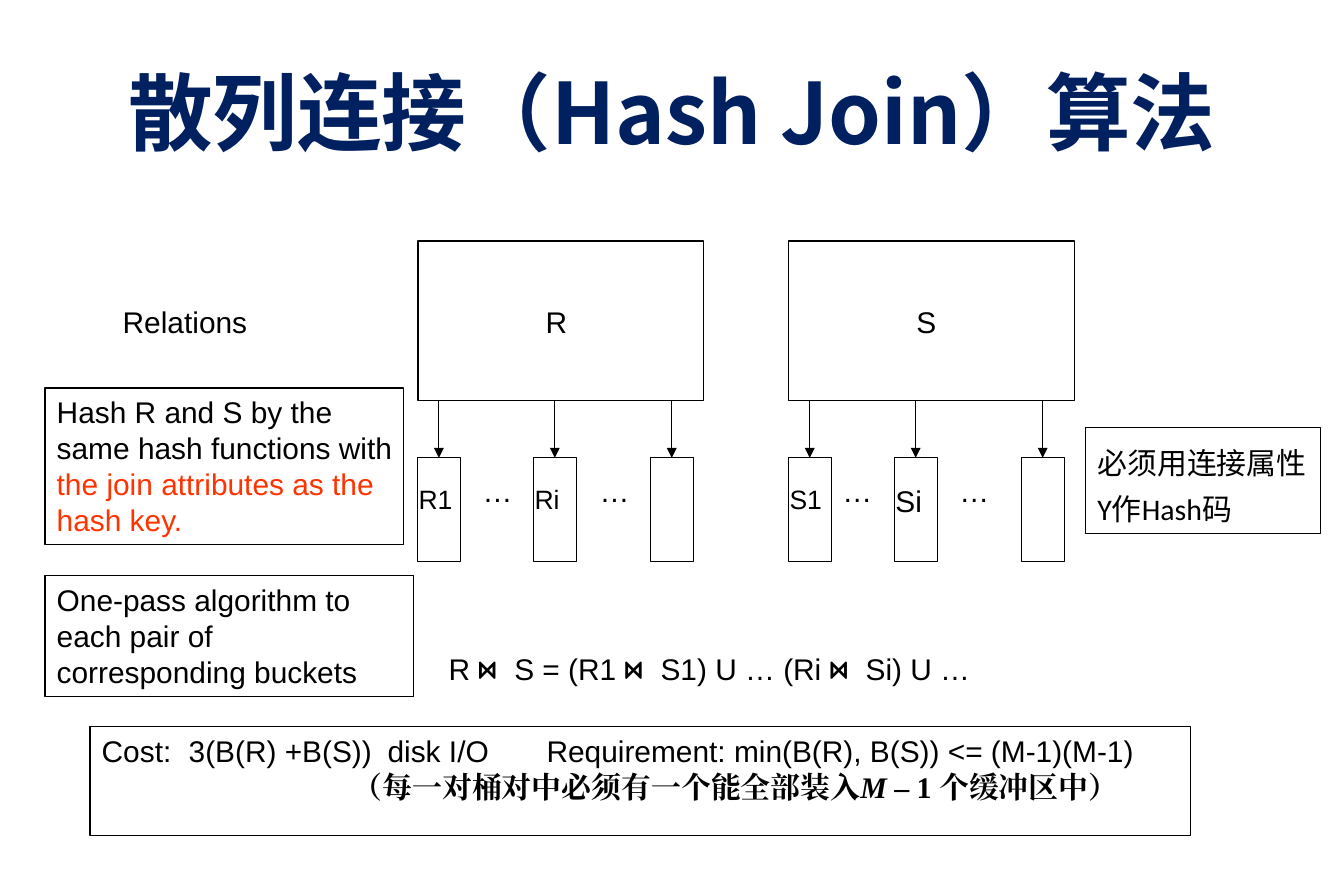
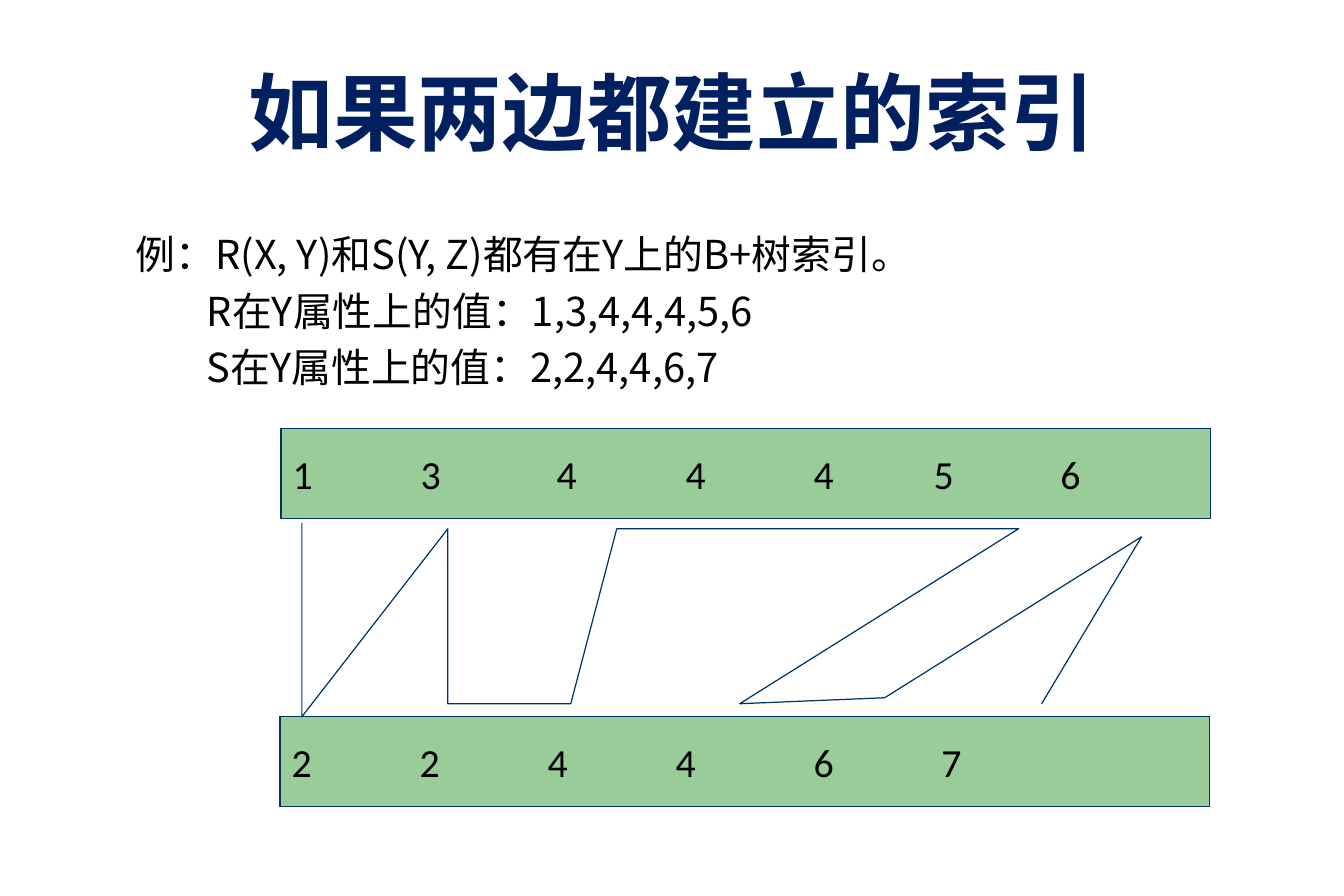
import lxml.etree
import pptx
import pptx.dml.color
import pptx.enum.shapes
import pptx.enum.text
import pptx.oxml.ns
import pptx.util

SCALE = 914400 / 119.5  # EMU per pixel

BLACK = pptx.dml.color.RGBColor(0x00, 0x00, 0x00)
NAVY = pptx.dml.color.RGBColor(0x00, 0x20, 0x60)
ORANGE = pptx.dml.color.RGBColor(0xFF, 0x33, 0x00)
GREEN = pptx.dml.color.RGBColor(0x99, 0xCC, 0x99)
BLUE = pptx.dml.color.RGBColor(0x00, 0x33, 0x66)
CHINESE = "Noto Sans CJK SC"

TITLE_BOX = (67, 36, 1210, 149)
HASH_TITLE = "散列连接（Hash Join）算法"
INDEX_TITLE = "如果两边都建立的索引"

# Each relation: left edge, name, name box, buckets (left, label, label width, size), ellipses
RELATIONS = [
    (418, "R", (534, 298, 61, 48),
     [(418, "R1", 58, 16), (534, "Ri", 49, 16), (651, "", 0, 0)], [471, 588]),
    (789, "S", (905, 298, 49, 48),
     [(789, "S1", 57, 16), (895, "Si", 51, 18), (1022, "", 0, 0)], [831, 948]),
]
RELATION_TOP, RELATION_WIDTH, RELATION_HEIGHT = 241, 286, 160
BUCKET_TOP, BUCKET_WIDTH, BUCKET_HEIGHT = 458, 43, 104
INSET = 11

JOIN = ("⋈ ", {"name": "Courier New", "bold": True})
FORMULA = ["R ", JOIN, "S = (R1 ", JOIN, "S1) U … (Ri ", JOIN, "Si) U …"]
HASH_NOTE = ["Hash R and S by the same hash functions with ",
             ("the join attributes as the hash key.", {"color": ORANGE})]
PASS_NOTE = ["One-pass algorithm to each pair of corresponding buckets"]
KEY_NOTE = ["必须用连接属性Y作Hash码"]
COST = ["Cost:\t3(B(R) +B(S))\tdisk I/O\tRequirement: min(B(R), B(S)) <= (M-1)(M-1)"]
COST_TABS = (87, 286, 445)
BUFFER_RULE = ["（每一对桶对中必须有一个能全部装入", ("M ", {"italic": True}),
               "– 1 个缓冲区中）"]
BUFFER_INDENT = 251

EXAMPLE = [
    (0, "例：R(X, Y)和S(Y, Z)都有在Y上的B+树索引。"),
    (71, "R在Y属性上的值：1,3,4,4,4,5,6"),
    (71, "S在Y属性上的值：2,2,4,4,6,7"),
]
# Each index band: left, top, keys, offsets of the keys after the first
INDEX_BANDS = [
    (281, 429, "1344456", (128, 264, 393, 521, 641, 768)),
    (280, 717, "224467", (128, 256, 384, 522, 650)),
]
BAND_SIZE = (930, 90)
MERGE_ROUTE = [(302, 523), (302, 717), (448, 529), (448, 704), (571, 704), (617, 529),
               (1019, 529), (740, 704), (885, 698), (1142, 537), (1042, 704)]


def px(pixels):
    """Turn pixels into EMU."""
    return pptx.util.Emu(round(pixels * SCALE))


def style_font(font, name=None, size=None, color=None, bold=None, italic=None):
    """Set the given font properties, for Latin and East Asian text alike."""
    if size:
        font.size = pptx.util.Pt(size)
    if color is not None:
        font.color.rgb = color
    if bold is not None:
        font.bold = bold
    if italic is not None:
        font.italic = italic
    if name:
        font.name = name
        east_asian = lxml.etree.SubElement(font._element, pptx.oxml.ns.qn("a:ea"))
        east_asian.set("typeface", name)


def write(para, spans, indent=0, tabs=(), align=pptx.enum.text.PP_ALIGN.LEFT,
          name="Arial", size=18, color=BLACK, bold=False):
    """Fill a paragraph with plain spans or (text, font changes) pairs."""
    para.alignment = align
    properties = para._p.get_or_add_pPr()
    if indent:
        properties.set("marL", str(px(indent)))
    if tabs:
        stops = lxml.etree.SubElement(properties, pptx.oxml.ns.qn("a:tabLst"))
        for offset in tabs:
            stop = lxml.etree.SubElement(stops, pptx.oxml.ns.qn("a:tab"))
            stop.set("pos", str(px(offset)))
            stop.set("algn", "l")
    style_font(para.font, name, size, color, bold)
    for item in spans:
        text, changes = (item, {}) if isinstance(item, str) else item
        span = para.add_run()
        span.text = text
        style_font(span.font, **changes)


def add_label(slide, box, spans, **style):
    """Add a one-line text box."""
    label = slide.shapes.add_textbox(*map(px, box))
    label.text_frame.word_wrap = False
    write(label.text_frame.paragraphs[0], spans, **style)


def outline(shape, color):
    """Give a shape a thin line and no shadow."""
    shape.shadow.inherit = False
    shape.line.color.rgb = color
    shape.line.width = pptx.util.Pt(0.75)


def add_box(slide, box, line=BLACK, fill=None, anchor=pptx.enum.text.MSO_ANCHOR.TOP):
    """Add an outlined rectangle and return its text frame."""
    shape = slide.shapes.add_shape(pptx.enum.shapes.MSO_SHAPE.RECTANGLE, *map(px, box))
    outline(shape, line)
    if fill is None:
        shape.fill.background()
    else:
        shape.fill.solid()
        shape.fill.fore_color.rgb = fill
    shape.text_frame.word_wrap = True
    shape.text_frame.vertical_anchor = anchor
    return shape.text_frame


def add_arrow(slide, x, top, bottom):
    """Add a downward arrow."""
    arrow = slide.shapes.add_connector(
        pptx.enum.shapes.MSO_CONNECTOR.STRAIGHT, px(x), px(top), px(x), px(bottom))
    arrow.line.color.rgb = BLACK
    arrow.line.width = pptx.util.Pt(0.75)
    head = lxml.etree.SubElement(arrow.line._get_or_add_ln(), pptx.oxml.ns.qn("a:tailEnd"))
    head.set("type", "triangle")
    lxml.etree.SubElement(arrow._element.spPr, pptx.oxml.ns.qn("a:effectLst"))


def add_slide(deck, title):
    """Add a slide with the shared title style."""
    slide = deck.slides.add_slide(deck.slide_layouts[5])
    holder = slide.shapes.title
    holder.left, holder.top, holder.width, holder.height = map(px, TITLE_BOX)
    frame = holder.text_frame
    frame.auto_size = pptx.enum.text.MSO_AUTO_SIZE.NONE
    frame.vertical_anchor = pptx.enum.text.MSO_ANCHOR.MIDDLE
    write(frame.paragraphs[0], [title], align=pptx.enum.text.PP_ALIGN.CENTER,
          name=CHINESE, size=51, color=NAVY, bold=True)
    return slide


def add_relation(slide, left, name, name_box, buckets, ellipses):
    """Draw a relation with arrows down to its hash buckets."""
    add_box(slide, (left, RELATION_TOP, RELATION_WIDTH, RELATION_HEIGHT))
    add_label(slide, name_box, [name])
    for bucket_left, label, label_width, size in buckets:
        add_box(slide, (bucket_left, BUCKET_TOP, BUCKET_WIDTH, BUCKET_HEIGHT))
        add_arrow(slide, bucket_left + BUCKET_WIDTH // 2,
                  RELATION_TOP + RELATION_HEIGHT, BUCKET_TOP)
        if label:
            add_label(slide, (bucket_left - INSET, 477, label_width, 46), [label], size=size)
    for ellipsis_left in ellipses:
        add_label(slide, (ellipsis_left, 467, 54, 48), ["…"])


def build_hash_slide(deck):
    """Build the hash join slide."""
    slide = add_slide(deck, HASH_TITLE)
    add_label(slide, (111, 298, 149, 48), ["Relations"])
    for relation in RELATIONS:
        add_relation(slide, *relation)
    write(add_box(slide, (45, 388, 359, 157)).paragraphs[0], HASH_NOTE)
    write(add_box(slide, (45, 576, 369, 121)).paragraphs[0], PASS_NOTE)
    add_label(slide, (437, 645, 558, 48), FORMULA)
    cost = add_box(slide, (90, 727, 1101, 109))
    write(cost.paragraphs[0], COST, tabs=COST_TABS)
    write(cost.add_paragraph(), BUFFER_RULE, indent=BUFFER_INDENT,
          name="Times New Roman", bold=True)
    key_para = add_box(slide, (1086, 428, 235, 106)).paragraphs[0]
    write(key_para, KEY_NOTE, name="Calibri")
    key_para.line_spacing = 1.3


def build_index_slide(deck):
    """Build the slide that merges two sorted indexes."""
    slide = add_slide(deck, INDEX_TITLE)
    frame = slide.shapes.add_textbox(*map(px, (124, 224, 1140, 590))).text_frame
    frame.word_wrap = True
    for number, (indent, text) in enumerate(EXAMPLE):
        para = frame.add_paragraph() if number else frame.paragraphs[0]
        write(para, [text], indent=indent, name=CHINESE, size=24)
        para.line_spacing = pptx.util.Pt(29)
        para.space_after = pptx.util.Pt(5)
    for left, top, keys, offsets in INDEX_BANDS:
        band = add_box(slide, (left, top, *BAND_SIZE), BLUE, GREEN,
                       pptx.enum.text.MSO_ANCHOR.MIDDLE)
        write(band.paragraphs[0], ["\t".join(keys)], tabs=offsets, name="Calibri", size=24)
    builder = slide.shapes.build_freeform(*MERGE_ROUTE[0], scale=SCALE)
    builder.add_line_segments(MERGE_ROUTE[1:], close=False)
    route = builder.convert_to_shape()
    outline(route, BLUE)
    route.fill.background()


deck = pptx.Presentation()
deck.slide_width = pptx.util.Inches(11.25)
deck.slide_height = pptx.util.Inches(7.5)
build_hash_slide(deck)
build_index_slide(deck)
deck.save("out.pptx")
